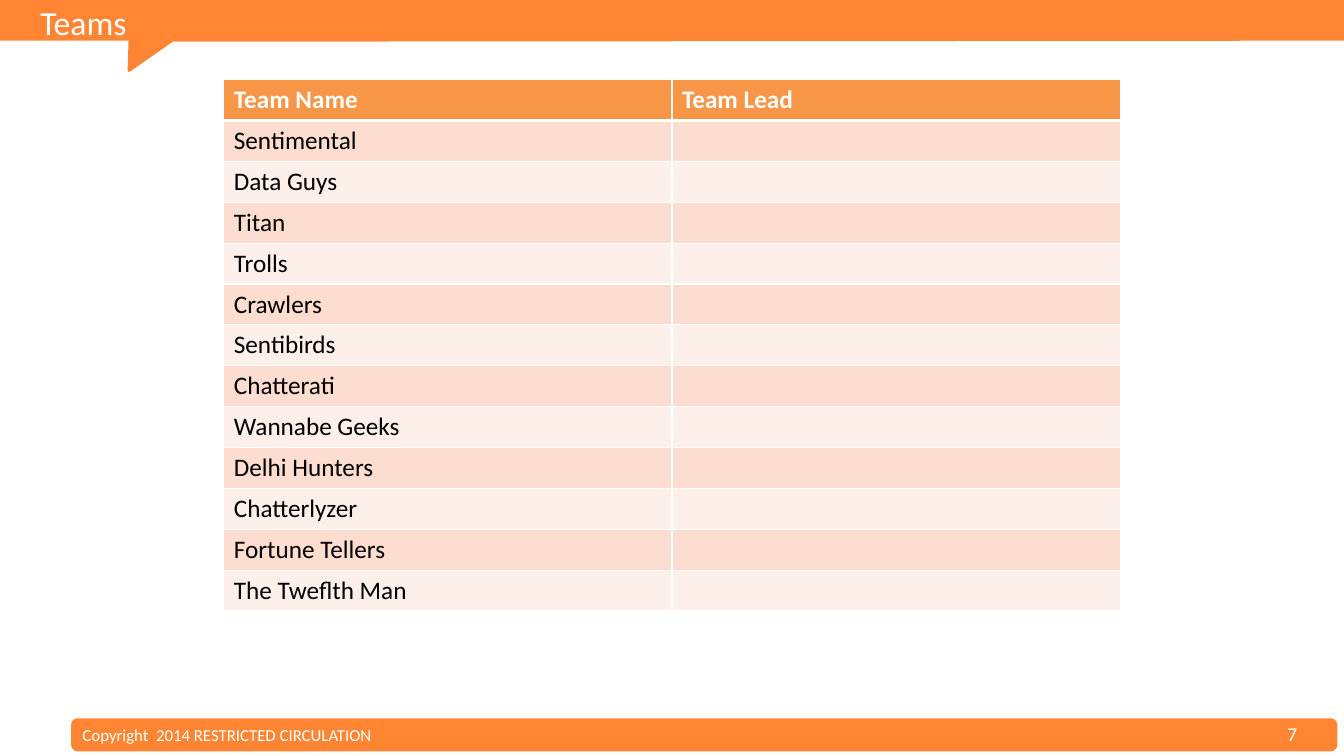
"""Build the Teams slide with its table of team names and leads."""
from lxml import etree
from pptx import Presentation
from pptx.dml.color import RGBColor
from pptx.enum.shapes import MSO_SHAPE
from pptx.enum.text import MSO_ANCHOR, MSO_AUTO_SIZE, PP_ALIGN
from pptx.oxml.ns import qn
from pptx.util import Inches, Pt

ROUND = MSO_SHAPE.ROUNDED_RECTANGLE
TOP = MSO_ANCHOR.TOP
LEFT = PP_ALIGN.LEFT
FIXED = MSO_AUTO_SIZE.NONE

TITLE = "Teams"
FOOTER = "Copyright  2014 RESTRICTED CIRCULATION"
NUMBER = "7"
HEADS = ["Team Name", "Team Lead"]
TEAMS = [
    "Sentimental", "Data Guys", "Titan", "Trolls", "Crawlers", "Sentibirds",
    "Chatterati", "Wannabe Geeks", "Delhi Hunters", "Chatterlyzer",
    "Fortune Tellers", "The Tweflth Man",
]
BANNER = [(-0.03, 0), (13.33, 0), (13.33, 0.39), (1.71, 0.4),
          (1.28, 0.7), (1.29, 0.39), (-0.03, 0.39)]
ORANGE, WHITE, BLACK = "FF8533", "FFFFFF", "000000"
HEAD = "F79646"
BANDS = ["FCDDCF", "FDEFE9"]
FONT = "Calibri"
GRID = (2.22, 0.79, 8.89, 5.27)


def color(code):
    return RGBColor.from_string(code)


def box(left, top, width, height):
    return [Inches(n) for n in (left, top, width, height)]


def paint(shape):
    shape.shadow.inherit = False
    shape.fill.solid()
    shape.fill.fore_color.rgb = color(ORANGE)
    shape.line.color.rgb = color(ORANGE)
    shape.line.width = Pt(2)


def write(frame, text, size, code=WHITE, bold=False):
    frame.text = text
    para = frame.paragraphs[0]
    para.alignment = LEFT
    font = para.font
    font.name, font.size, font.bold = FONT, Pt(size), bold
    font.color.rgb = color(code)


def label(shapes, place, text, size, wrap):
    frame = shapes.add_textbox(*box(*place)).text_frame
    frame.word_wrap = wrap
    write(frame, text, size)


def add_frame(shapes):
    bar = shapes.add_shape(ROUND, *box(0.72, 7.14, 12.53, 0.3))
    paint(bar)
    label(shapes, (0.72, 7.14, 4.8, 0.3), FOOTER, 12, True)
    points = [(Inches(x), Inches(y)) for x, y in BANNER]
    pen = shapes.build_freeform(*points[0])
    pen.add_line_segments(points[1:], close=True)
    paint(pen.convert_to_shape())
    label(shapes, (12.67, 7.11, 0.43, 0.34), NUMBER, 14, False)


def add_title(shapes):
    title = shapes.title
    title.left, title.top, title.width, title.height = box(0.3, -0.03, 12.36, 0.41)
    frame = title.text_frame
    frame.auto_size = FIXED
    frame.vertical_anchor = TOP
    write(frame, TITLE, 24)
    shapes._spTree.append(title._element)


def edge(cell, sides):
    props = cell._tc.get_or_add_tcPr()
    for spot, (side, width) in enumerate(sides.items()):
        line = etree.Element(qn("a:ln" + side), w=str(Pt(width)))
        fill = etree.SubElement(line, qn("a:solidFill"))
        etree.SubElement(fill, qn("a:srgbClr"), val=WHITE)
        props.insert(spot, line)


def add_teams(shapes):
    rows = [HEADS] + [[team, ""] for team in TEAMS]
    table = shapes.add_table(len(rows), len(HEADS), *box(*GRID)).table
    for i, row in enumerate(rows):
        top = i == 0
        for j, text in enumerate(row):
            cell = table.cell(i, j)
            cell.fill.solid()
            cell.fill.fore_color.rgb = color(HEAD if top else BANDS[(i - 1) % 2])
            write(cell.text_frame, text, 18, WHITE if top else BLACK, top)
            edge(cell, {"L": 1, "R": 1, "T": 3 if i == 1 else 1, "B": 3 if top else 1})


def main():
    deck = Presentation()
    deck.slide_width, deck.slide_height = Inches(13.33), Inches(7.5)
    shapes = deck.slides.add_slide(deck.slide_layouts[5]).shapes
    add_frame(shapes)
    add_title(shapes)
    add_teams(shapes)
    deck.save("out.pptx")


if __name__ == "__main__":
    main()
